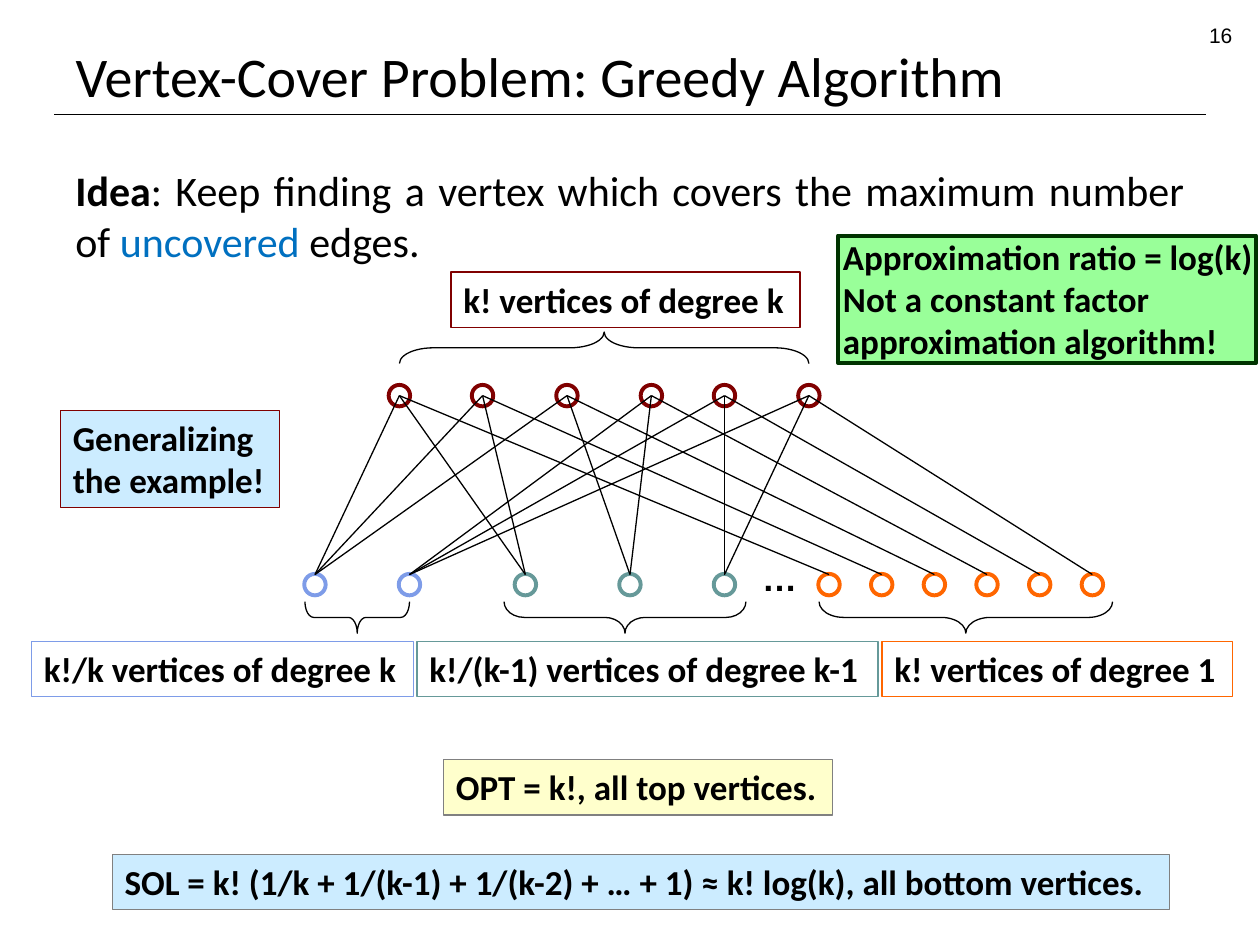
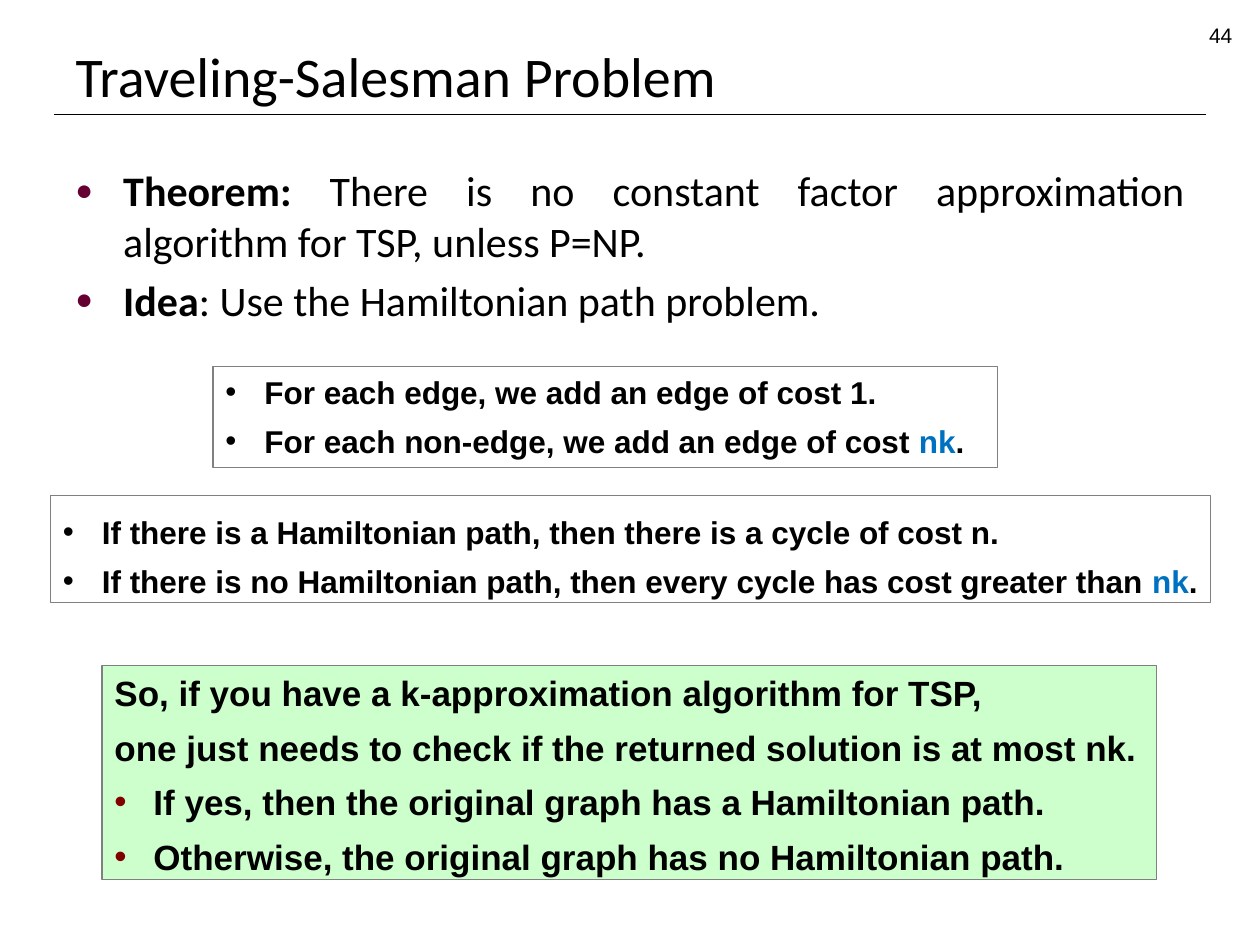
"""Build two slides on greedy vertex cover and the hardness of approximating TSP."""
from dataclasses import dataclass

from lxml import etree
from pptx import Presentation
from pptx.dml.color import RGBColor
from pptx.enum.shapes import MSO_CONNECTOR, MSO_SHAPE
from pptx.enum.text import MSO_ANCHOR, MSO_AUTO_SIZE, PP_ALIGN
from pptx.oxml.ns import qn
from pptx.util import Inches, Pt

STRAIGHT = MSO_CONNECTOR.STRAIGHT
RECTANGLE, OVAL, BRACE = MSO_SHAPE.RECTANGLE, MSO_SHAPE.OVAL, MSO_SHAPE.RIGHT_BRACE
TOP, BOTTOM = MSO_ANCHOR.TOP, MSO_ANCHOR.BOTTOM
LEFT, RIGHT, JUSTIFY = PP_ALIGN.LEFT, PP_ALIGN.RIGHT, PP_ALIGN.JUSTIFY
FIT_SHAPE, FIT_NONE = MSO_AUTO_SIZE.SHAPE_TO_FIT_TEXT, MSO_AUTO_SIZE.NONE
TITLE_ONLY = 5


@dataclass(frozen=True)
class Theme:
    black: str = "000000"
    gray: str = "808080"
    maroon: str = "800000"
    plum: str = "660033"
    highlight: str = "0070C0"
    blue: str = "7E9CE8"
    teal: str = "669999"
    orange: str = "FF6600"
    sky: str = "CCECFF"
    cream: str = "FFFFCC"
    mint: str = "CCFFCC"
    green: str = "99FF99"
    dark_green: str = "003300"
    heading_font: str = "Calibri"
    plain_font: str = "Arial"
    title_size: float = 32
    body_size: float = 24
    label_size: float = 20
    detail_size: float = 18
    number_size: float = 12
    thin: float = 0.75
    thick: float = 2.25


THEME = Theme()


@dataclass(frozen=True)
class Run:
    text: str
    bold: bool = False
    color: str = THEME.black


@dataclass(frozen=True)
class Line:
    runs: tuple
    bullet: str = ""
    bullet_color: str = THEME.black
    bullet_percent: int = 100
    indent: float = 0.31
    spacing: float = 1.0
    space_before: float = 0
    align: int = LEFT


def bold_line(*texts, **options):
    runs = tuple(t if isinstance(t, Run) else Run(t, True) for t in texts)
    return Line(runs, **options)


class Deck:
    def __init__(self, theme):
        self.theme = theme
        self.presentation = Presentation()
        self.presentation.slide_width = Inches(10)
        self.presentation.slide_height = Inches(7.5)
        self.slide = None

    def start_slide(self, title, number):
        layout = self.presentation.slide_layouts[TITLE_ONLY]
        self.slide = self.presentation.slides.add_slide(layout)
        placeholder = self.slide.shapes.title
        placeholder.left, placeholder.top = Inches(0.5), Inches(0.13)
        placeholder.width, placeholder.height = Inches(9), Inches(0.78)
        self.fill_text(placeholder, [Line((Run(title),))], self.theme.title_size, fit=FIT_NONE)
        placeholder.text_frame.vertical_anchor = BOTTOM
        self.line((0.43, 0.91), (9.57, 0.91))
        self.text((7.55, 0.13, 2.33, 0.28), [Line((Run(str(number)),), align=RIGHT)],
                  self.theme.number_size, self.theme.plain_font)

    def fill_text(self, shape, lines, size, font=None, wrap=True, fit=FIT_SHAPE):
        frame = shape.text_frame
        frame.word_wrap, frame.auto_size = wrap, fit
        frame.vertical_anchor = TOP
        for index, line in enumerate(lines):
            paragraph = frame.add_paragraph() if index else frame.paragraphs[0]
            paragraph.alignment = line.align
            paragraph.line_spacing = line.spacing
            if index:
                paragraph.space_before = Pt(line.space_before)
            if line.bullet:
                self.bullet(paragraph, line)
            paragraph.font.size = Pt(size)
            paragraph.font.name = font or self.theme.heading_font
            same_color = len({run.color for run in line.runs}) == 1
            same_weight = len({run.bold for run in line.runs}) == 1
            if same_color:
                paragraph.font.color.rgb = RGBColor.from_string(line.runs[0].color)
            if same_weight:
                paragraph.font.bold = line.runs[0].bold
            for part in line.runs:
                run = paragraph.add_run()
                run.text = part.text
                if not same_color:
                    run.font.color.rgb = RGBColor.from_string(part.color)
                if not same_weight:
                    run.font.bold = part.bold

    def bullet(self, paragraph, line):
        properties = paragraph._p.get_or_add_pPr()
        properties.set("marL", str(Inches(line.indent)))
        properties.set("indent", str(-Inches(line.indent)))
        color = etree.SubElement(properties, qn("a:buClr"))
        etree.SubElement(color, qn("a:srgbClr"), val=line.bullet_color)
        etree.SubElement(properties, qn("a:buSzPct"), val=str(line.bullet_percent * 1000))
        etree.SubElement(properties, qn("a:buFont"), typeface=self.theme.plain_font)
        etree.SubElement(properties, qn("a:buChar"), char=line.bullet)

    def text(self, box, lines, size, font=None, wrap=True, fit=FIT_NONE):
        shape = self.slide.shapes.add_textbox(*map(Inches, box))
        self.fill_text(shape, lines, size, font, wrap, fit)

    def shape(self, kind, box, color, weight=None, fill=None):
        shape = self.slide.shapes.add_shape(kind, *map(Inches, box))
        shape.shadow.inherit = False
        if fill:
            shape.fill.solid()
            shape.fill.fore_color.rgb = RGBColor.from_string(fill)
        else:
            shape.fill.background()
        shape.line.color.rgb = RGBColor.from_string(color)
        shape.line.width = Pt(weight or self.theme.thin)
        return shape

    def label(self, box, lines, color, fill=None, size=None, font=None, wrap=False,
              weight=None, margins=None):
        shape = self.shape(RECTANGLE, box, color, weight, fill)
        self.fill_text(shape, lines, size or self.theme.label_size, font, wrap)
        if margins:
            frame = shape.text_frame
            (frame.margin_left, frame.margin_top,
             frame.margin_right, frame.margin_bottom) = map(Inches, margins)

    def line(self, start, end):
        connector = self.slide.shapes.add_connector(STRAIGHT, *map(Inches, start + end))
        connector.line.color.rgb = RGBColor.from_string(self.theme.black)
        connector.line.width = Pt(self.theme.thin)
        etree.SubElement(connector._element.spPr, qn("a:effectLst"))

    def vertex(self, x, y, color):
        size = 0.17
        self.shape(OVAL, (x - size / 2, y - size / 2, size, size), color, self.theme.thick)

    def brace(self, start, end, y, rotation):
        depth, length = 0.25, end - start
        box = ((start + end - depth) / 2, y - length / 2, depth, length)
        shape = self.shape(BRACE, box, self.theme.black)
        shape.rotation = rotation
        shape.adjustments[0] = length / 3


def draw_vertex_graph(deck):
    theme = deck.theme
    top_y, bottom_y, edge_y = 3.14, 4.64, 4.56
    top_vertices = (3.17, 3.83, 4.5, 5.17, 5.75, 6.42)
    groups = (
        ((2.5, 3.25), theme.blue, (2.42, 3.25)),
        ((4.17, 5, 5.75), theme.teal, (4, 5.92)),
        ([6.58 + 2.09 * i / 5 for i in range(6)], theme.orange, (6.5, 8.83)),
    )
    for x in top_vertices:
        deck.vertex(x, top_y, theme.maroon)
    deck.brace(3.17, 6.42, 2.76, 270)
    for vertices, color, span in groups:
        degree = len(top_vertices) // len(vertices)
        for x in vertices:
            deck.vertex(x, bottom_y, color)
        for index, x in enumerate(top_vertices):
            deck.line((vertices[index // degree], edge_y), (x, top_y))
        deck.brace(*span, 4.9, 90)


def add_vertex_cover_slide(deck):
    theme = deck.theme
    deck.start_slide("Vertex-Cover Problem: Greedy Algorithm", 16)
    idea = Line((Run("Idea", True),
                 Run(": Keep finding a vertex which covers the maximum number of "),
                 Run("uncovered", color=theme.highlight), Run(" edges.")), align=JUSTIFY)
    deck.text((0.5, 1.26, 9, 0.95), [idea], theme.body_size)
    draw_vertex_graph(deck)
    labels = (
        ((3.58, 2.16, 2.77, 0.44), ["k! vertices of degree k"], theme.maroon, None),
        ((0.48, 3.26, 1.74, 0.77), ["Generalizing", "the example!"], theme.maroon, theme.sky),
        ((0.25, 5.09, 3.03, 0.44), ["k!/k vertices of degree k"], theme.blue, None),
        ((3.31, 5.09, 3.66, 0.44), ["k!/(k-1) vertices of degree k-1"], theme.teal, None),
        ((7, 5.09, 2.78, 0.44), ["k! vertices of degree 1"], theme.orange, None),
        ((3.52, 6.03, 3.09, 0.44), ["OPT = k!, all top vertices."], theme.gray, theme.cream),
        ((0.89, 6.78, 8.39, 0.44),
         ["SOL = k! (1/k + 1/(k-1) + 1/(k-2) + … + 1) ≈ k! log(k), all bottom vertices."],
         theme.gray, theme.sky),
    )
    for box, texts, color, fill in labels:
        deck.label(box, [bold_line(text) for text in texts], color, fill)
    deck.text((5.95, 4.37, 0.48, 0.44), [bold_line("…")], theme.label_size,
              theme.plain_font, wrap=False, fit=FIT_SHAPE)
    ratio = ("Approximation ratio = log(k)", "Not a constant factor", "approximation algorithm!")
    deck.label((6.65, 1.87, 3.32, 1.01), [bold_line(text) for text in ratio],
               theme.dark_green, theme.green, weight=theme.thick, margins=(0.04, 0, 0, 0))


def add_salesman_slide(deck):
    theme = deck.theme
    deck.start_slide("Traveling-Salesman Problem", 44)
    statements = (
        ("Theorem: ", "There is no constant factor approximation algorithm for TSP, unless P=NP."),
        ("Idea", ": Use the Hamiltonian path problem."),
    )
    deck.text((0.5, 1.26, 9, 1.4),
              [Line((Run(lead, True), Run(rest)), "●", theme.plum, 70, 0.38,
                    space_before=5, align=JUSTIFY) for lead, rest in statements],
              theme.body_size)
    bound = (Run("nk", True, theme.highlight), ".")
    costs = [
        bold_line("For each edge, we add an edge of cost 1.", bullet="•"),
        bold_line("For each non-edge, we add an edge of cost ", *bound, bullet="•", spacing=1.3),
    ]
    deck.label((1.69, 2.91, 6.23, 0.8), costs, theme.gray, size=theme.detail_size,
               font=theme.plain_font, wrap=True)
    cases = [
        bold_line("If there is a Hamiltonian path, then there is a cycle of cost n.",
                  bullet="•", spacing=1.3),
        bold_line("If there is no Hamiltonian path, then every cycle has cost greater than ",
                  *bound, bullet="•", spacing=1.3),
    ]
    deck.label((0.4, 3.93, 9.21, 0.85), cases, theme.gray, size=theme.detail_size,
               font=theme.plain_font)
    answers = ("If yes, then the original graph has a Hamiltonian path.",
               "Otherwise, the original graph has no Hamiltonian path.")
    conclusion = [
        bold_line("So, if you have a k-approximation algorithm for TSP,"),
        bold_line("one just needs to check if the returned solution is at most nk.", spacing=1.3),
        *(bold_line(text, bullet="•", bullet_color=theme.maroon, spacing=1.3)
          for text in answers),
    ]
    deck.label((0.81, 5.28, 8.37, 1.7), conclusion, theme.gray, theme.mint,
               font=theme.plain_font)


def main():
    deck = Deck(THEME)
    add_vertex_cover_slide(deck)
    add_salesman_slide(deck)
    deck.presentation.save("out.pptx")


if __name__ == "__main__":
    main()
